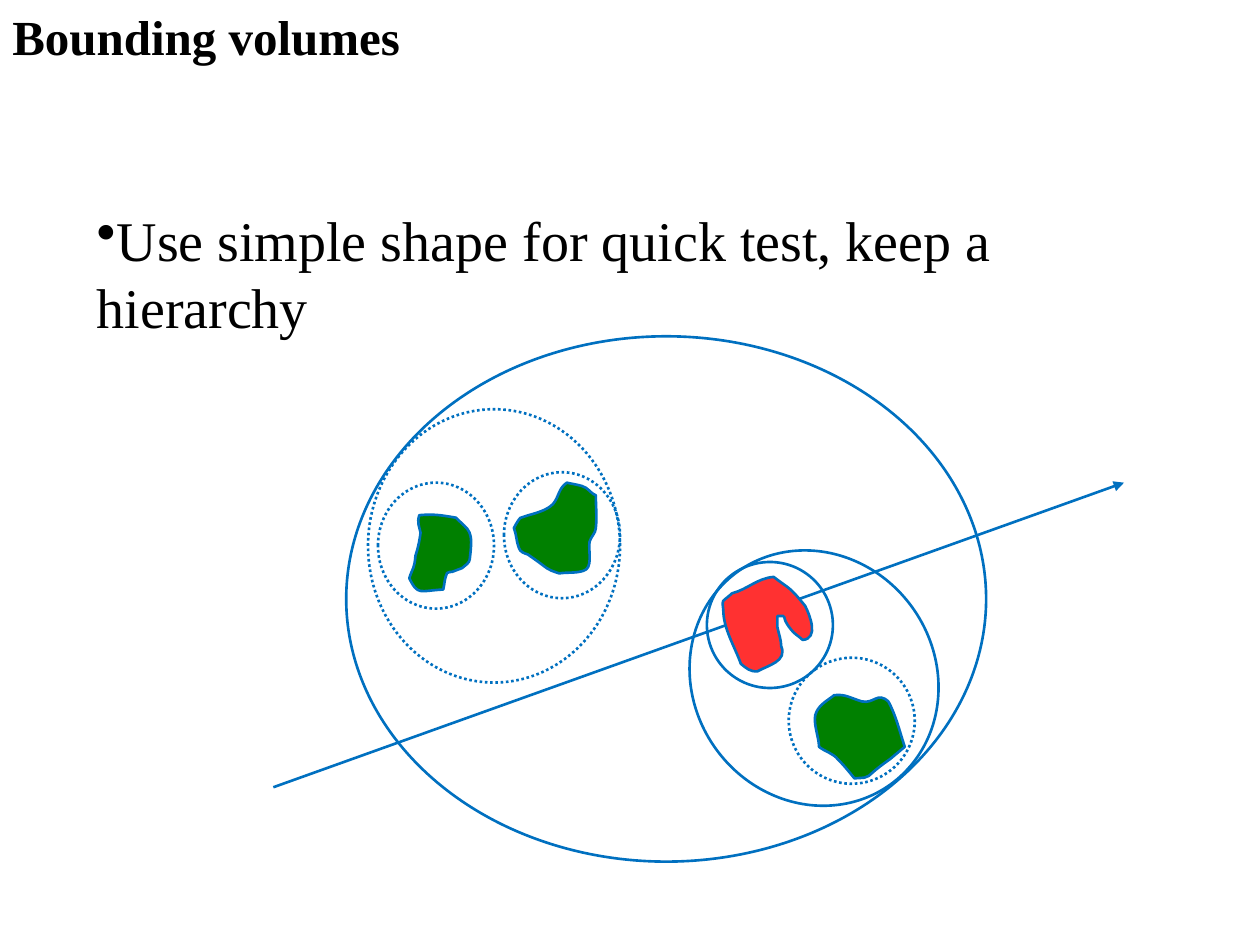
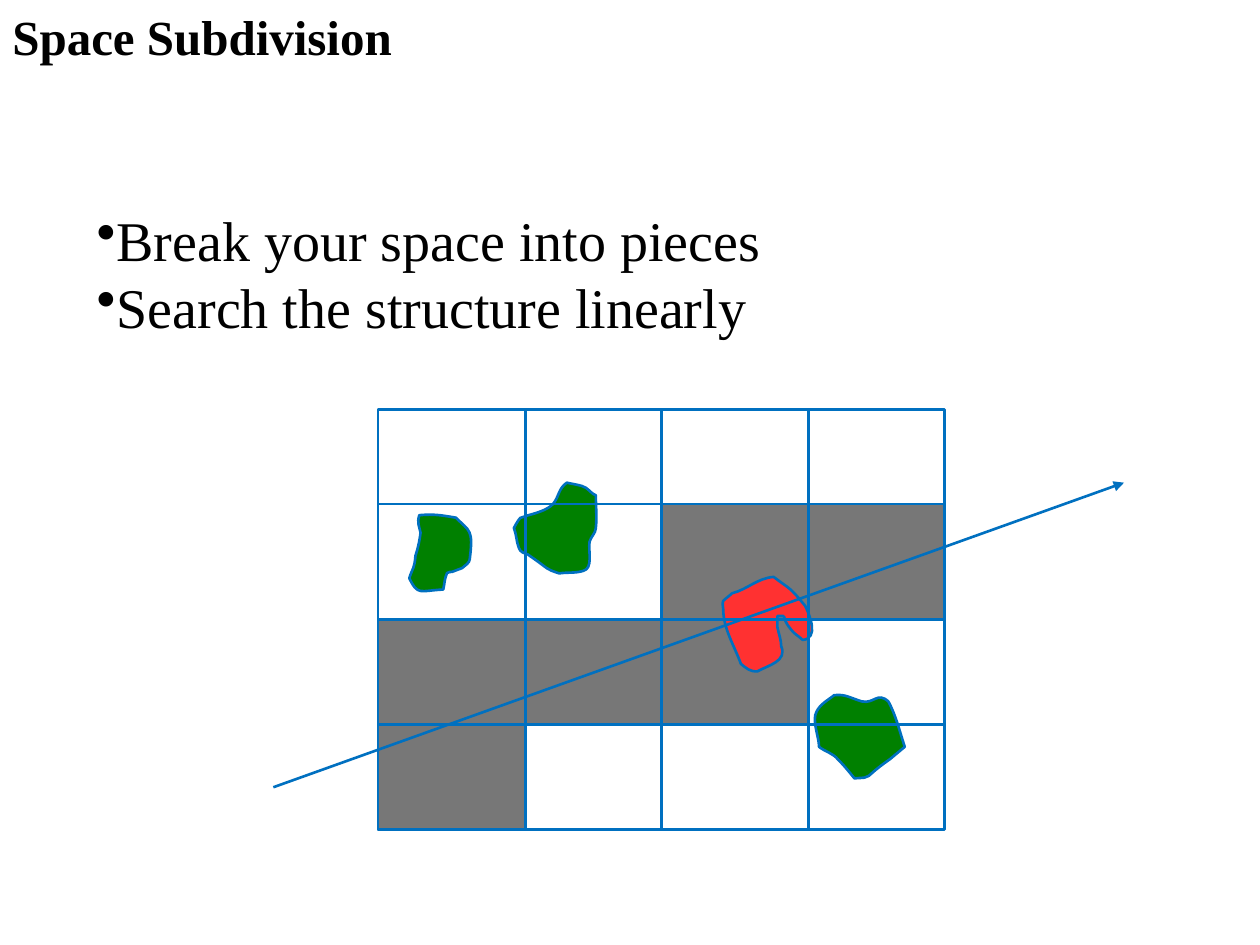
"""Build two slides on ray tracing acceleration: bounding volumes and space subdivision."""
from collections import namedtuple
from itertools import accumulate

from lxml import etree
from pptx import Presentation
from pptx.dml.color import RGBColor
from pptx.enum.dml import MSO_LINE
from pptx.enum.shapes import MSO_CONNECTOR, MSO_SHAPE
from pptx.enum.text import MSO_ANCHOR
from pptx.oxml.ns import qn
from pptx.util import Cm, Pt

BLACK = RGBColor(0, 0, 0)
WHITE = RGBColor(255, 255, 255)
BLUE = RGBColor(0x00, 0x70, 0xC0)
GREEN = RGBColor(0x00, 0x80, 0x00)
RED = RGBColor(0xFF, 0x31, 0x31)
GRAY = RGBColor(0x77, 0x77, 0x77)

DOTTED = MSO_LINE.ROUND_DOT
STRAIGHT = MSO_CONNECTOR.STRAIGHT
ELLIPSE, RECTANGLE = MSO_SHAPE.OVAL, MSO_SHAPE.RECTANGLE
TOP = MSO_ANCHOR.TOP
SIDE_TOP, SIDE_LEFT, SIDE_BOTTOM, SIDE_RIGHT = range(4)

FONT = "Times New Roman"
LINE_WIDTH = Pt(1.5)
TILT = 54.4
UNITS_PER_INCH = 100

Box = namedtuple("Box", "left top width height")
Blob = namedtuple("Blob", "left top color start curves")

TITLE_BOX = Box(0, 0, 24.56, 1.75)
BODY_BOX = Box(1.7, 4.01, 21.59, 12.78)
DIAGRAM_BOX = Box(5.51, 6.78, 17.15, 10.59)
GRID_BOX = Box(2.11, 1.48, 11.42, 8.46)
RAY_START, RAY_END = (0, 9.09), (17.15, 2.95)

TITLE_FORMAT = {"size": Pt(28), "bold": True, "name": FONT}
BODY_FORMAT = {"size": Pt(32), "bold": False, "name": FONT}

COLUMN_WIDTHS = (2.97, 2.74, 2.97, 2.74)
ROW_HEIGHTS = (1.9, 2.33, 2.12, 2.11)
CROSSED_CELLS = ((2, 0), (1, 2), (3, 0), (2, 1), (2, 2), (1, 3))

VOLUMES = (
    (Box(8.26, 4.45, 5.28, 4.88), TILT, None),
    (Box(10.39, 6.48, 2.54, 2.54), TILT, DOTTED),
    (Box(8.74, 4.55, 2.54, 2.54), TILT, None),
    (Box(2.11, 2.95, 2.34, 2.54), 0, DOTTED),
    (Box(4.65, 2.74, 2.34, 2.54), 0, DOTTED),
    (Box(1.91, 1.47, 5.08, 5.51), 0, DOTTED),
    (Box(1.47, 0, 12.9, 10.59), 0, None),
)

LEFT_BLOB = Blob(2.74, 3.58, GREEN, (37, 3), (
    (25, 1, 20, 0, 8, 1), (6, 7, 8, 10, 9, 15), (8, 22, 7, 27, 5, 33),
    (4, 44, 3, 42, 0, 51), (7, 65, 8, 61, 27, 60), (28, 56, 28, 51, 30, 47),
    (31, 46, 33, 46, 34, 46), (37, 45, 39, 44, 42, 43),
    (44, 41, 48, 39, 48, 36), (51, 12, 48, 14, 37, 3)))
MIDDLE_BLOB = Blob(4.85, 2.95, GREEN, (65, 10), (
    (62, 9, 60, 6, 57, 4), (54, 2, 46, 1, 42, 0), (35, 5, 36, 11, 31, 17),
    (26, 22, 18, 24, 11, 26), (9, 27, 7, 27, 5, 28), (3, 30, 0, 36, 0, 36),
    (2, 41, 2, 47, 4, 52), (5, 55, 8, 56, 11, 57), (30, 70, 24, 68, 36, 72),
    (42, 71, 49, 72, 55, 70), (63, 68, 59, 55, 60, 47),
    (61, 43, 65, 40, 65, 36), (66, 27, 65, 19, 65, 10)))
LOWER_BLOB = Blob(10.85, 7.21, GREEN, (74, 42), (
    (70, 30, 67, 17, 61, 6), (52, -2, 50, 8, 40, 6), (30, 3, 27, 0, 18, 1),
    (13, 5, 7, 8, 4, 14), (0, 21, 6, 34, 6, 42), (11, 46, 17, 47, 21, 52),
    (26, 57, 30, 62, 34, 67), (50, 66, 39, 68, 62, 52)))
HIT_BLOB = Blob(9.07, 4.85, RED, (63, 50), (
    (76, 49, 69, 31, 65, 23), (52, 7, 53, 10, 40, 0), (27, 1, 19, 10, 7, 13),
    (5, 15, 2, 17, 0, 19), (-1, 21, 0, 24, 0, 26), (0, 41, 9, 55, 14, 69),
    (19, 73, 21, 75, 27, 75), (36, 70, 51, 67, 46, 55),
    (46, 50, 44, 45, 43, 40), (43, 37, 43, 31, 43, 31),
    (53, 31, 44, 30, 54, 42), (56, 45, 60, 47, 63, 50)))


def within(outer, inner):
    """Return the inner box in the coordinates that hold the outer box."""
    return Box(outer.left + inner.left, outer.top + inner.top, inner.width, inner.height)


def add_text(slide, box, lines, text_format, bullet=None):
    """Write one paragraph per line of text in a wrapping text box."""
    shape = slide.shapes.add_textbox(*map(Cm, box))
    frame = shape.text_frame
    frame.word_wrap = True
    frame.vertical_anchor = TOP
    frame.text = "\n".join(lines)
    for paragraph in frame.paragraphs:
        font = paragraph.runs[0].font
        for name, value in text_format.items():
            setattr(font, name, value)
        font.color.rgb = BLACK
        if bullet:
            properties = paragraph._p.get_or_add_pPr()
            properties.set("marL", "0")
            properties.set("indent", "0")
            etree.SubElement(properties, qn("a:buChar")).set("char", bullet)


def style_shape(shape, fill=None, dash=None):
    """Give a shape its fill and blue outline and take its shadow away."""
    shape.shadow.inherit = False
    if fill is None:
        shape.fill.background()
    else:
        shape.fill.solid()
        shape.fill.fore_color.rgb = fill
    shape.line.color.rgb = BLUE
    shape.line.width = LINE_WIDTH
    if dash is not None:
        shape.line.dash_style = dash


def add_outline(slide, preset, box, fill=None, dash=None, rotation=0):
    """Add a preset shape with a blue outline."""
    shape = slide.shapes.add_shape(preset, *map(Cm, box))
    shape.rotation = rotation
    style_shape(shape, fill, dash)
    return shape


def add_line(slide, box, start, end):
    """Add a blue line between two points of the box."""
    ends = (box.left + start[0], box.top + start[1], box.left + end[0], box.top + end[1])
    connector = slide.shapes.add_connector(STRAIGHT, *map(Cm, ends))
    connector.line.color.rgb = BLUE
    connector.line.width = LINE_WIDTH
    etree.SubElement(connector._element.spPr, qn("a:effectLst"))
    return connector


def add_ray(slide, box):
    """Add the ray, with an arrowhead at its end."""
    ray = add_line(slide, box, RAY_START, RAY_END)
    etree.SubElement(ray.line._get_or_add_ln(), qn("a:tailEnd")).set("type", "triangle")


def bend_segments(shape, corners, curves):
    """Turn the straight segments of a freeform into cubic curves."""
    left, top = (min(values) for values in zip(*corners))
    segments = list(shape._element.iter(qn("a:lnTo")))
    for segment, curve in zip(segments, curves):
        segment.tag = qn("a:cubicBezTo")
        for point in list(segment):
            segment.remove(point)
        for x, y in zip(curve[::2], curve[1::2]):
            point = etree.SubElement(segment, qn("a:pt"))
            point.set("x", str(x - left))
            point.set("y", str(y - top))


def add_blob(slide, box, blob):
    """Add one scene object as a closed curved outline."""
    corners = [blob.start] + [curve[-2:] for curve in blob.curves]
    builder = slide.shapes.build_freeform(*blob.start, scale=Cm(2.54) / UNITS_PER_INCH)
    builder.add_line_segments(corners[1:], close=True)
    shape = builder.convert_to_shape(Cm(box.left + blob.left), Cm(box.top + blob.top))
    bend_segments(shape, corners, blob.curves)
    style_shape(shape, blob.color)


def add_crossed_cells(slide, box, columns, rows):
    """Shade the grid cells that the ray crosses."""
    for row, column in CROSSED_CELLS:
        cell = Box(columns[column], rows[row], COLUMN_WIDTHS[column], ROW_HEIGHTS[row])
        add_outline(slide, RECTANGLE, within(box, cell), GRAY)


def add_grid(slide, box, columns, rows):
    """Draw the frame and the inner lines, joining the middle ones to the frame."""
    frame = add_outline(slide, RECTANGLE, box)
    vertical = [add_line(slide, box, (x, 0), (x, box.height)) for x in columns[1:-1]]
    horizontal = [add_line(slide, box, (0, y), (box.width, y)) for y in rows[1:-1]]
    for lines, first, last in ((vertical, SIDE_TOP, SIDE_BOTTOM),
                               (horizontal, SIDE_LEFT, SIDE_RIGHT)):
        middle = lines[len(lines) // 2]
        middle.begin_connect(frame, first)
        middle.end_connect(frame, last)


def draw_volumes(slide, box):
    """Draw the objects, the ray and the hierarchy of bounding volumes."""
    for blob in (LEFT_BLOB, MIDDLE_BLOB):
        add_blob(slide, box, blob)
    add_ray(slide, box)
    for blob in (LOWER_BLOB, HIT_BLOB):
        add_blob(slide, box, blob)
    for volume, rotation, dash in VOLUMES:
        add_outline(slide, ELLIPSE, within(box, volume), dash=dash, rotation=rotation)


def draw_subdivision(slide, box):
    """Draw the objects and the ray in a grid of cells."""
    grid = within(box, GRID_BOX)
    columns = list(accumulate(COLUMN_WIDTHS, initial=0))
    rows = list(accumulate(ROW_HEIGHTS, initial=0))
    add_crossed_cells(slide, grid, columns, rows)
    for blob in (LEFT_BLOB, LOWER_BLOB, HIT_BLOB, MIDDLE_BLOB):
        add_blob(slide, box, blob)
    add_grid(slide, grid, columns, rows)
    add_ray(slide, box)


def add_slide(presentation, title, points, draw_diagram):
    """Add a slide with a title, bullet points and a diagram."""
    slide = presentation.slides.add_slide(presentation.slide_layouts[6])
    slide.background.fill.solid()
    slide.background.fill.fore_color.rgb = WHITE
    add_text(slide, TITLE_BOX, [title], TITLE_FORMAT)
    add_text(slide, BODY_BOX, points, BODY_FORMAT, bullet="•")
    draw_diagram(slide, DIAGRAM_BOX)


def main():
    """Build and save the presentation."""
    presentation = Presentation()
    presentation.slide_width = Cm(25.4)
    presentation.slide_height = Cm(19.05)
    add_slide(presentation, "Bounding volumes",
              ["Use simple shape for quick test, keep a hierarchy"], draw_volumes)
    add_slide(presentation, "Space Subdivision",
              ["Break your space into pieces", "Search the structure linearly"],
              draw_subdivision)
    presentation.save("out.pptx")


if __name__ == "__main__":
    main()
